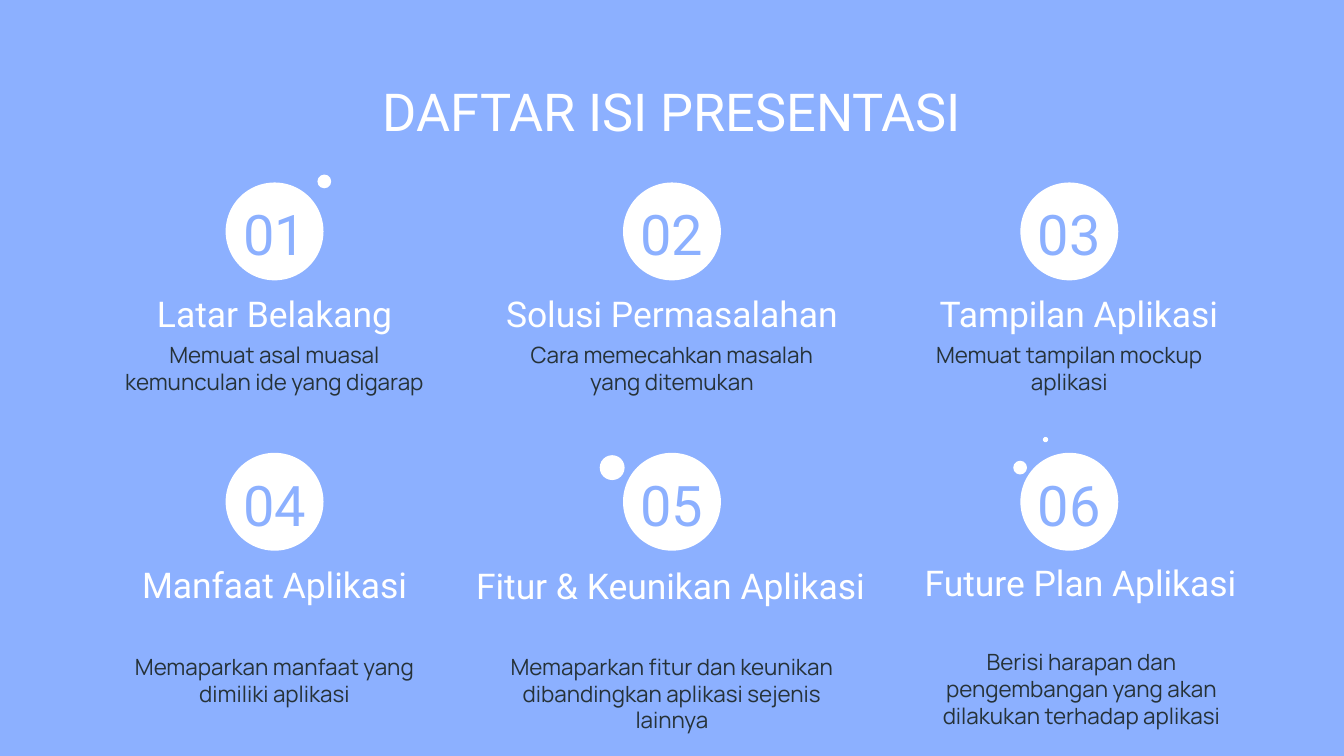
from pptx import Presentation
from pptx.dml.color import RGBColor as Rgb
from pptx.enum.shapes import MSO_SHAPE as Preset
from pptx.enum.text import MSO_ANCHOR as Anchor, PP_ALIGN as Align
from pptx.util import Cm, Pt

COLORS = {"sky": "8CB0FF", "white": "FFFFFF", "ink": "263238"}
FORMATS = {
    "title": ({"name": "Roboto", "size": Pt(28)}, "white"),
    "number": ({"name": "Roboto", "size": Pt(30)}, "sky"),
    "heading": ({"name": "Roboto", "size": Pt(19)}, "white"),
    "body": ({"name": "Manrope", "size": Pt(12)}, "ink"),
}

FIRST_CENTER, COLUMN_PITCH = 5.19, 7.51
ROWS = [  # tops of circle, heading and body
    (3.45, 5.28, 6.2),
    (8.56, 10.39, 12.09),
]
CIRCLE, TEXT_WIDTH = 1.85, 6.73

# heading, heading width, heading shift (x, y), body, body shift (x, y)
TOPICS = [
    ("Latar Belakang", TEXT_WIDTH, (0, 0),
     "Memuat asal muasal kemunculan ide yang digarap", (0, 0)),
    ("Solusi Permasalahan", 7.52, (0, 0),
     "Cara memecahkan masalah yang ditemukan", (0, 0)),
    ("Tampilan Aplikasi", TEXT_WIDTH, (0.18, 0),
     "Memuat tampilan mockup aplikasi", (0, 0)),
    ("Manfaat Aplikasi", TEXT_WIDTH, (0, 0),
     "Memaparkan manfaat yang dimiliki aplikasi", (0, 0)),
    ("Fitur & Keunikan Aplikasi", 7.98, (-0.03, 0.02),
     "Memaparkan fitur dan keunikan dibandingkan aplikasi sejenis lainnya", (0, 0)),
    ("Future Plan Aplikasi", 7.67, (0.21, -0.03),
     "Berisi harapan dan pengembangan yang akan dilakukan terhadap aplikasi", (0.23, -0.09)),
]
# center x, center y, diameter
DOTS = [(6.13, 3.43, 0.26), (19.28, 8.84, 0.26), (19.76, 8.31, 0.1), (11.57, 8.84, 0.47)]


class Deck:
    """Holds the presentation, its style and the current slide."""

    def __init__(self):
        self.presentation = Presentation()
        self.presentation.slide_width = Cm(25.4)
        self.presentation.slide_height = Cm(14.29)
        self.slide = self.presentation.slides.add_slide(self.presentation.slide_layouts[6])
        self.paint(self.slide.background.fill, "sky")

    def paint(self, fill, color):
        fill.solid()
        fill.fore_color.rgb = Rgb.from_string(COLORS[color])

    def circle(self, center_x, center_y, diameter):
        disc = self.slide.shapes.add_shape(
            Preset.OVAL, Cm(center_x - diameter / 2), Cm(center_y - diameter / 2),
            Cm(diameter), Cm(diameter))
        disc.shadow.inherit = False
        disc.line.fill.background()
        self.paint(disc.fill, "white")

    def text(self, words, style, center_x, top, width, height, anchor=Anchor.TOP):
        box = self.slide.shapes.add_textbox(
            Cm(center_x - width / 2), Cm(top), Cm(width), Cm(height))
        frame = box.text_frame
        margins = {f"margin_{side}": Cm(0.25) for side in ("left", "right", "top", "bottom")}
        for key, value in {"word_wrap": True, "vertical_anchor": anchor, **margins}.items():
            setattr(frame, key, value)
        paragraph = frame.paragraphs[0]
        paragraph.alignment = Align.CENTER
        run = paragraph.add_run()
        run.text = words
        font_format, color = FORMATS[style]
        for key, value in font_format.items():
            setattr(run.font, key, value)
        run.font.color.rgb = Rgb.from_string(COLORS[color])


def main():
    deck = Deck()
    deck.text("DAFTAR ISI PRESENTASI", "title", 12.7, 1.24, 23.67, 1.6)
    for index, (heading, width, heading_shift, body, body_shift) in enumerate(TOPICS):
        row, column = divmod(index, 3)
        circle_top, heading_top, body_top = ROWS[row]
        center = FIRST_CENTER + column * COLUMN_PITCH
        deck.circle(center, circle_top + CIRCLE / 2, CIRCLE)
        deck.text(f"{index + 1:02}", "number", center, circle_top, CIRCLE, CIRCLE, Anchor.BOTTOM)
        deck.text(heading, "heading", center + heading_shift[0],
                  heading_top + heading_shift[1], width, 1.17)
        deck.text(body, "body", center + body_shift[0],
                  body_top + body_shift[1], TEXT_WIDTH, 1.85)
    for dot in DOTS:
        deck.circle(*dot)
    deck.presentation.save("out.pptx")


if __name__ == "__main__":
    main()
